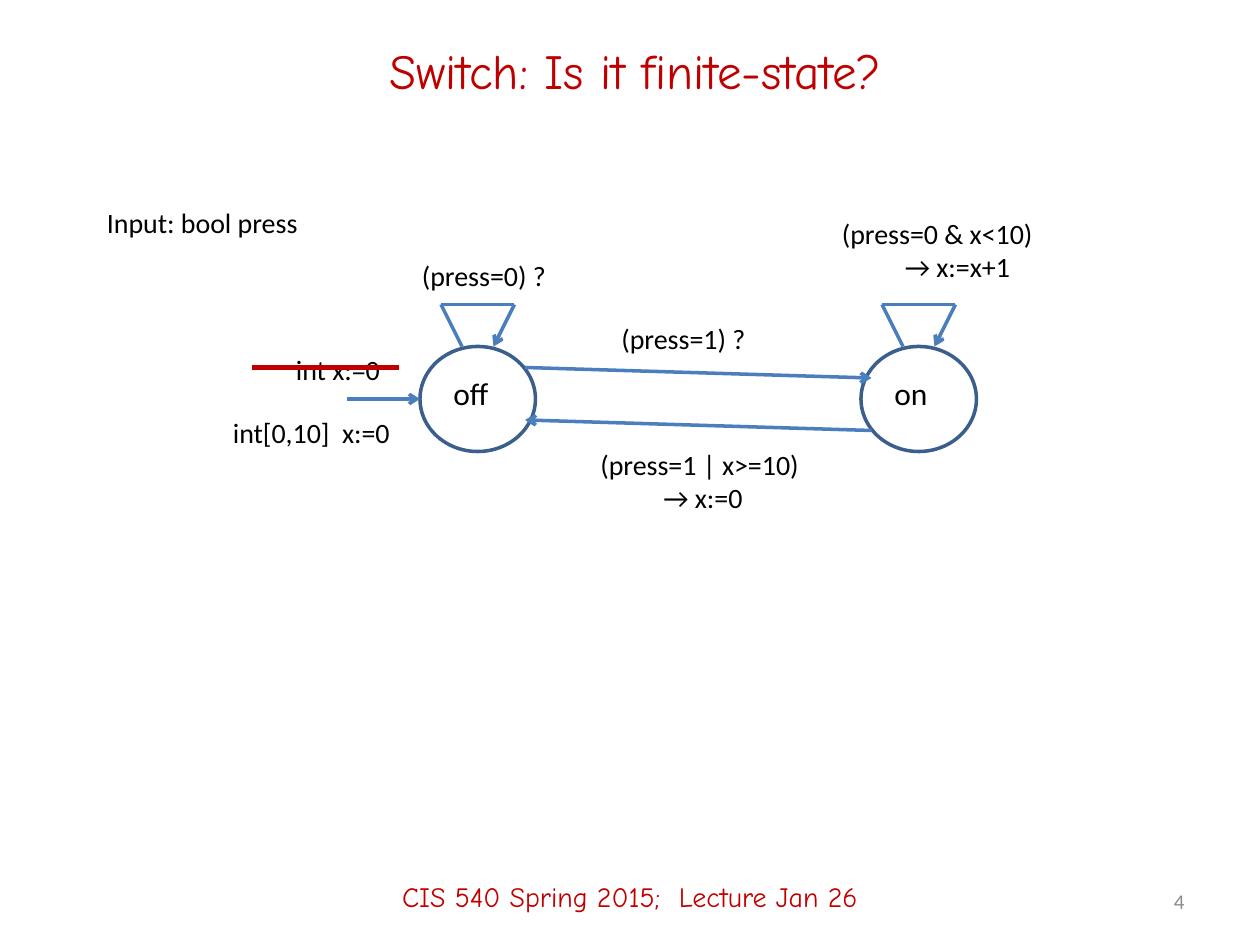
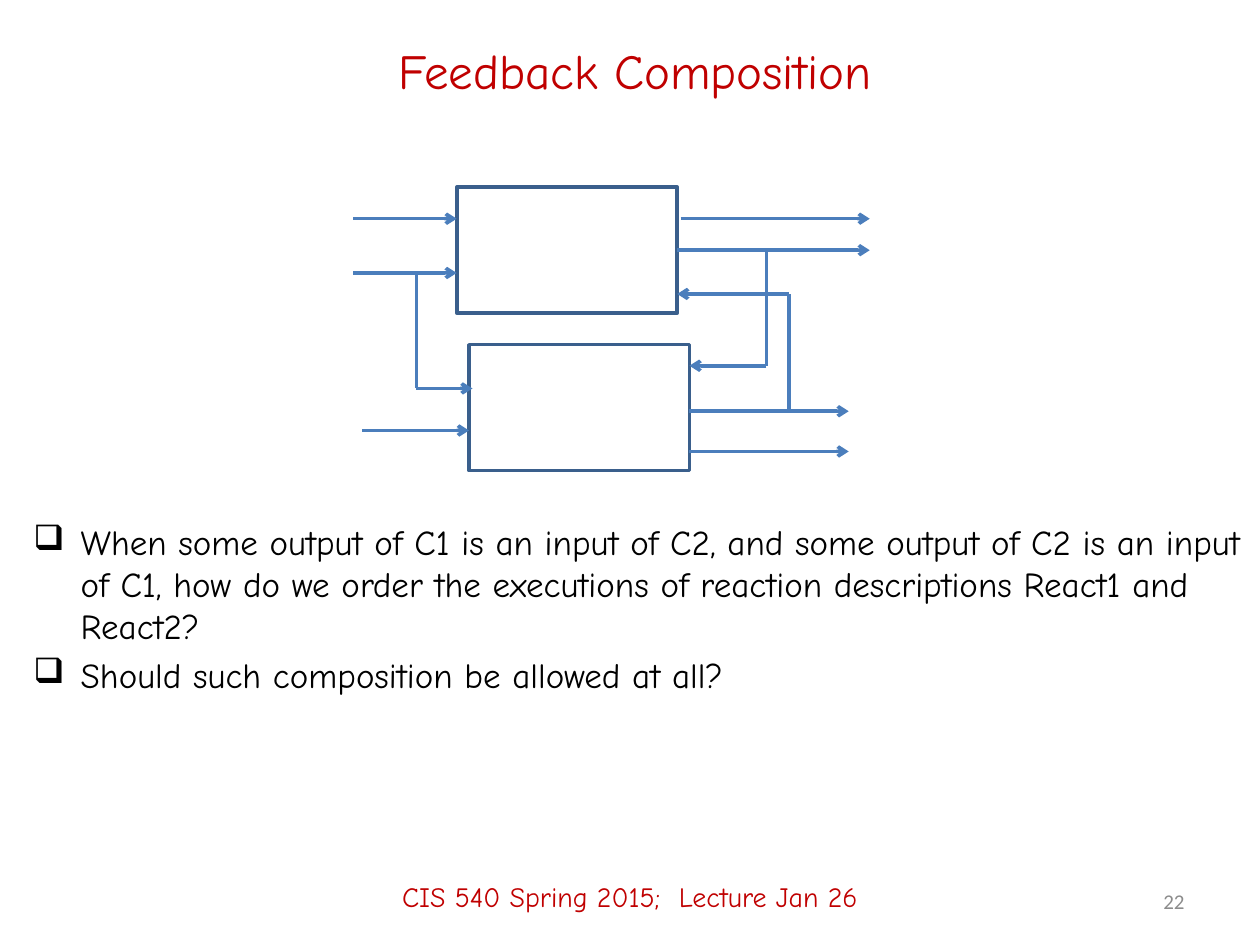
"""Build two lecture slides: a switch state machine and feedback composition."""
import dataclasses
import itertools

import lxml.etree
import pptx
import pptx.dml.color
import pptx.enum.shapes
import pptx.enum.text
import pptx.oxml.ns
import pptx.util

Pt = pptx.util.Pt
Align = pptx.enum.text.PP_ALIGN
Anchor = pptx.enum.text.MSO_ANCHOR
Preset = pptx.enum.shapes.MSO_SHAPE


@dataclasses.dataclass(frozen=True)
class Theme:
    """Colours, fonts and sizes shared by the slides."""
    red: str = "C00000"
    black: str = "000000"
    grey: str = "8C8C8C"
    outline: str = "3A5F8C"
    wire: str = "4B7EBC"
    hand: str = "Comic Neue"
    plain: str = "Calibri"
    title: int = 28
    body: int = 20
    state: int = 18
    label: int = 16
    number: int = 12
    line: float = 2
    strike: float = 2.5


THEME = Theme()
FOOTER = "CIS 540 Spring 2015;  Lecture Jan 26"

SWITCH_TITLE = "Switch: Is it finite-state?"
STATE_TOP, STATE_WIDTH, STATE_HEIGHT = 198, 66, 60
STATES = {"off": 240, "on": 492}
SELF_LOOP = [(24, 0), (12, -24), (54, -24), (42, 0)]
TRANSITIONS = [
    [(300, 210), (498, 216)],
    [(498, 246), (300, 240)],
    [(198, 228), (240, 228)],
]
SWITCH_LABELS = [
    (54, 114, 124.5, ["Input: bool press"]),
    (162, 198, 63.5, ["int x:=0"]),
    (234, 144, 86.5, ["(press=0) ?"]),
    (348, 180, 86.5, ["(press=1) ?"]),
    (474, 120, 149, ["(press=0 & x<10)", "\t→ x:=x+1"]),
    (336, 252, 133, ["(press=1 | x>=10)", "\t→ x:=0"]),
    (126, 234, 105, ["int[0,10]  x:=0"]),
]
STRIKE = [(144, 210), (228, 210)]

FEEDBACK_TITLE = "Feedback Composition"
COMPONENT_WIDTH, COMPONENT_HEIGHT = 126, 72
COMPONENTS = [(261, 107), (268, 197)]
SIGNALS = [
    [(202, 125), (261, 125)],
    [(202, 156), (261, 156)],
    [(207, 246), (268, 246)],
    [(389, 125), (497, 125)],
    [(394, 235), (485, 235)],
    [(394, 258), (485, 258)],
    [(238, 156), (238, 222), (270, 222)],
    [(438, 143), (438, 209), (394, 209)],
    [(451, 235), (451, 168), (387, 168)],
]
MIDDLE_OUTPUT = [(387, 143), (497, 143)]
QUESTIONS = [
    "When some output of C1 is an input of C2, and some output of C2 is an "
    "input of C1, how do we order the executions of reaction descriptions "
    "React1 and React2?",
    "Should such composition be allowed at all?",
]


def rgb(value):
    """Turn a hex string into a colour."""
    return pptx.dml.color.RGBColor.from_string(value)


def style(paragraph, size, font, color, align=None):
    """Format a whole paragraph."""
    paragraph.font.size = Pt(size)
    paragraph.font.name = font
    paragraph.font.color.rgb = rgb(color)
    paragraph.alignment = align


def add_text(slide, box, lines, size, font, color, align=None, anchor=Anchor.TOP, wrap=True):
    """Add a text box with one paragraph per line and return its text frame."""
    frame = slide.shapes.add_textbox(*map(Pt, box)).text_frame
    frame.word_wrap = wrap
    frame.vertical_anchor = anchor
    frame.text = "\n".join(lines)
    for paragraph in frame.paragraphs:
        style(paragraph, size, font, color, align)
    return frame


def add_outline(slide, preset, left, top, width, height):
    """Add an unfilled outlined shape."""
    shape = slide.shapes.add_shape(preset, *map(Pt, (left, top, width, height)))
    shape.shadow.inherit = False
    shape.fill.background()
    shape.line.color.rgb = rgb(THEME.outline)
    shape.line.width = Pt(THEME.line)
    return shape


def add_wire(slide, points, color=THEME.wire, width=THEME.line, arrow=True):
    """Join the points with straight connectors, the last with an arrowhead."""
    connectors = []
    for start, end in itertools.pairwise(points):
        connector = slide.shapes.add_connector(
            pptx.enum.shapes.MSO_CONNECTOR.STRAIGHT, *map(Pt, start + end))
        connector.line.color.rgb = rgb(color)
        connector.line.width = Pt(width)
        connectors.append(connector)
    for connector in connectors:
        properties = connector.element.spPr
        if arrow and connector is connectors[-1]:
            line = properties.find(pptx.oxml.ns.qn("a:ln"))
            lxml.etree.SubElement(line, pptx.oxml.ns.qn("a:tailEnd"), type="arrow")
        lxml.etree.SubElement(properties, pptx.oxml.ns.qn("a:effectLst"))
    return connectors


def add_slide(presentation, title, number):
    """Add a slide with the shared title, footer and number."""
    slide = presentation.slides.add_slide(presentation.slide_layouts[5])
    heading = slide.shapes.title
    heading.left, heading.top, heading.width, heading.height = map(Pt, (54, 12, 618, 56))
    heading.text_frame.text = title
    heading.text_frame.vertical_anchor = Anchor.MIDDLE
    style(heading.text_frame.paragraphs[0], THEME.title, THEME.hand, THEME.red, Align.CENTER)
    add_text(slide, (0, 484, 720, 56), [FOOTER], THEME.label, THEME.hand, THEME.red,
             Align.CENTER, Anchor.MIDDLE)
    add_text(slide, (516, 500.5, 168, 29), [str(number)], THEME.number, THEME.plain, THEME.grey,
             Align.RIGHT, Anchor.MIDDLE)
    return slide


def build_switch(presentation):
    """Draw the switch state machine."""
    slide = add_slide(presentation, SWITCH_TITLE, 4)
    for name, left in STATES.items():
        add_outline(slide, Preset.OVAL, left, STATE_TOP, STATE_WIDTH, STATE_HEIGHT)
        add_text(slide, (left + 12, STATE_TOP + 12, 42, 29), [name],
                 THEME.state, THEME.plain, THEME.black)
        add_wire(slide, [(left + x, STATE_TOP + y) for x, y in SELF_LOOP])
    for points in TRANSITIONS:
        add_wire(slide, points)
    for left, top, width, lines in SWITCH_LABELS:
        height = 7.2 + 19.5 * len(lines)
        frame = add_text(slide, (left, top, width, height), lines,
                         THEME.label, THEME.plain, THEME.black, wrap=False)
        frame.auto_size = pptx.enum.text.MSO_AUTO_SIZE.SHAPE_TO_FIT_TEXT
    add_wire(slide, STRIKE, THEME.red, THEME.strike, arrow=False)


def build_feedback(presentation):
    """Draw two components in a feedback loop, with questions below."""
    slide = add_slide(presentation, FEEDBACK_TITLE, 22)
    first, _ = [add_outline(slide, Preset.RECTANGLE, left, top, COMPONENT_WIDTH, COMPONENT_HEIGHT)
                for left, top in COMPONENTS]
    for points in SIGNALS:
        add_wire(slide, points)
    add_wire(slide, MIDDLE_OUTPUT)[0].begin_connect(first, 3)
    frame = slide.shapes.add_textbox(*map(Pt, (12, 294, 708, 162))).text_frame
    frame.word_wrap = True
    frame.text = "\n".join(QUESTIONS)
    for index, paragraph in enumerate(frame.paragraphs):
        properties = paragraph._p.get_or_add_pPr()
        properties.set("marL", str(Pt(27)))
        properties.set("indent", str(Pt(-27)))
        lxml.etree.SubElement(properties, pptx.oxml.ns.qn("a:buChar"), char="❑")
        paragraph.space_before = Pt(4 if index else 0)
        style(paragraph, THEME.body, THEME.hand, THEME.black)


def main():
    """Build and save the presentation."""
    presentation = pptx.Presentation()
    presentation.slide_width, presentation.slide_height = Pt(720), Pt(540)
    build_switch(presentation)
    build_feedback(presentation)
    presentation.save("out.pptx")


if __name__ == "__main__":
    main()
